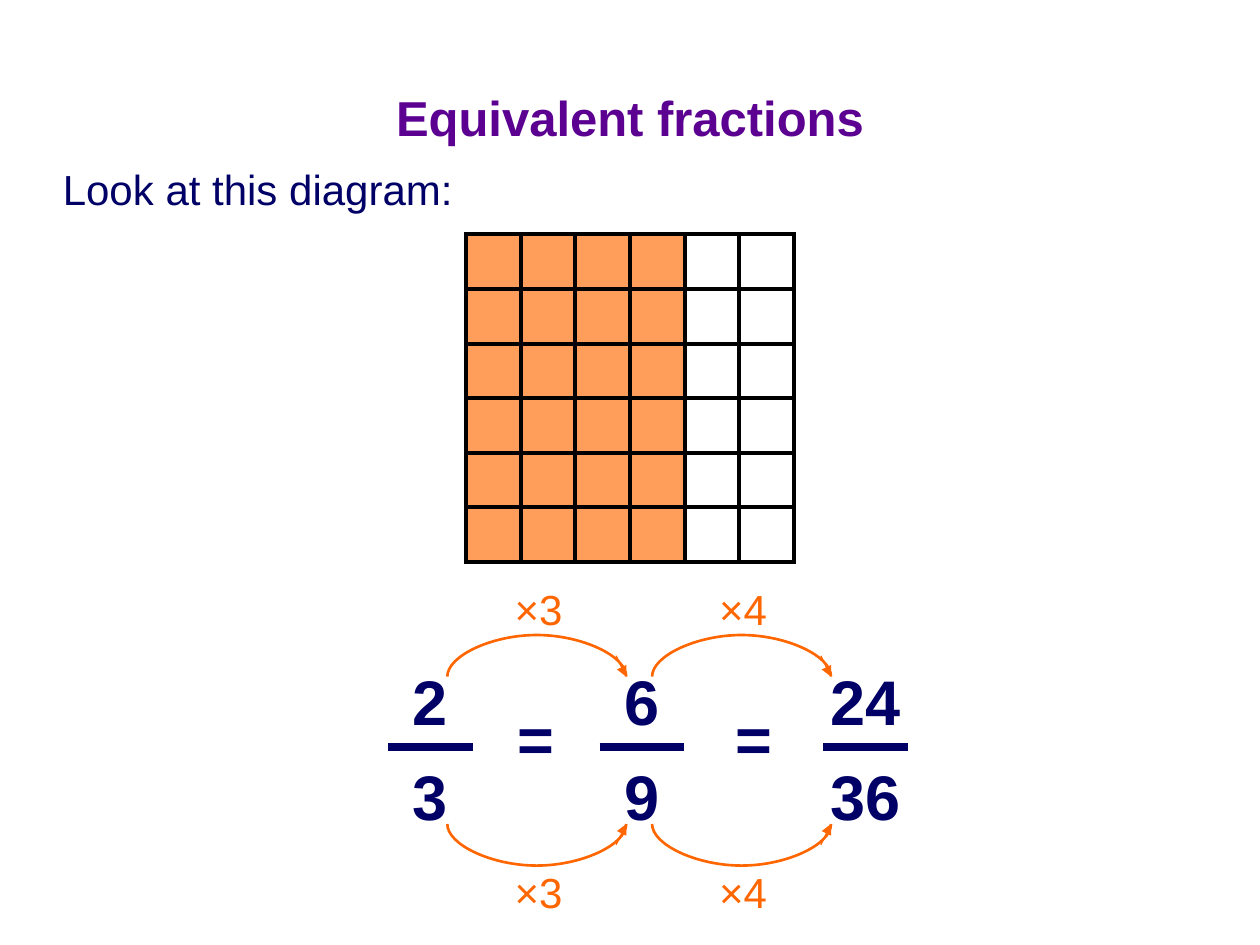
"""Build the equivalent fractions slide: a six-by-six grid above 2/3 = 6/9 = 24/36."""
from itertools import product

from lxml.etree import SubElement
from pptx import Presentation
from pptx.dml.color import RGBColor as RGB
from pptx.enum.shapes import MSO_CONNECTOR as CONN, MSO_SHAPE as SHAPE
from pptx.enum.text import MSO_ANCHOR as ANCHOR, MSO_AUTO_SIZE as AUTO, PP_ALIGN as ALIGN
from pptx.oxml.ns import qn
from pptx.util import Inches, Pt

THEME = {
    "font": "Arial",
    "title": RGB(0x5B, 0x00, 0x91), "ink": RGB(0x01, 0x00, 0x66),
    "arrow": RGB(0xFF, 0x66, 0x00), "shaded": RGB(0xFF, 0x9D, 0x5B),
    "blank": RGB(0xFF, 0xFF, 0xFF), "edge": RGB(0x00, 0x00, 0x00),
    "title_size": Pt(28), "text_size": Pt(24), "number_size": Pt(36),
}

prs = Presentation()
prs.slide_width, prs.slide_height = Inches(10), Inches(7.5)
s = prs.slides.add_slide(prs.slide_layouts[5])
COL, ROW = prs.slide_width / 100, prs.slide_height / 75


def write(text, x, y, w, h, sp=None, size="number_size", color="ink", bold=False, align=ALIGN.LEFT):
    box = [round(x * COL), round(y * ROW), round(w * COL), round(h * ROW)]
    if sp is None:
        sp = s.shapes.add_textbox(*box)
        sp.text_frame.word_wrap = False
        sp.text_frame.auto_size = AUTO.SHAPE_TO_FIT_TEXT
    else:
        sp.left, sp.top, sp.width, sp.height = box
        sp.text_frame.word_wrap = True
        sp.text_frame.vertical_anchor = ANCHOR.MIDDLE
    p = sp.text_frame.paragraphs[0]
    p.alignment = align
    r = p.add_run()
    r.text = text
    r.font.name, r.font.size, r.font.bold = THEME["font"], THEME[size], bold
    r.font.color.rgb = THEME[color]


def draw_line(x1, y1, x2, y2, color, width, arrow=False):
    c = s.shapes.add_connector(CONN.STRAIGHT, round(x1 * COL), round(y1 * ROW),
                               round(x2 * COL), round(y2 * ROW))
    c.line.color.rgb, c.line.width = THEME[color], Pt(width)
    if arrow:
        SubElement(c.line._get_or_add_ln(), qn("a:tailEnd"), type="triangle")
    SubElement(c._element.spPr, qn("a:effectLst"))


write("Equivalent fractions", 5, 3, 90, 12.5, sp=s.shapes.title, size="title_size",
      color="title", bold=True, align=ALIGN.CENTER)
write("Look at this diagram:", 4, 12.5, 33.2, 5, size="text_size")

GRID_LEFT, GRID_TOP, GRID, COUNT, SHADED = 37, 18.6, 26, 6, 4
CELL = GRID / COUNT
squares = [(0, 0, GRID, "blank")]
squares += [(col * CELL, row * CELL, CELL, "shaded" if col < SHADED else "blank")
            for row, col in product(range(COUNT), repeat=2)]
for x, y, side, fill in squares:
    sp = s.shapes.add_shape(SHAPE.RECTANGLE, round((GRID_LEFT + x) * COL), round((GRID_TOP + y) * ROW),
                            round(side * COL), round(side * ROW))
    sp.shadow.inherit = False
    sp.fill.solid()
    sp.fill.fore_color.rgb = THEME[fill]
    sp.line.color.rgb, sp.line.width = THEME["edge"], Pt(2.25)
    SubElement(sp.line._get_or_add_ln(), qn("a:miter"), lim="800000")

BAR_Y, BAR_W = 59.3, 6.7
fractions = [("2", "3", 34.15), ("6", "9", 50.95), ("24", "36", 68.7)]
for top, bottom, mid in fractions:
    w = 2 + 2.8 * len(top)
    write(top, mid - w / 2, 52.1, w, 7, bold=True)
    draw_line(mid - BAR_W / 2, BAR_Y, mid + BAR_W / 2, BAR_Y, "ink", 4.5)
    write(bottom, mid - w / 2, 59.6, w, 7, bold=True)

for (_, _, left), (_, _, right) in zip(fractions, fractions[1:]):
    write("=", (left + right) / 2 - 2.45, 55, 4.9, 7, bold=True)

ARC_RX, ARC_RY = 7.1, 3.3
arcs = [("×3", 42.6), ("×4", 58.85)]
sides = [(53.7, -1, 45.8), (65.4, 1, 68.3)]
for (label, mid), (base, direction, label_top) in product(arcs, sides):
    controls = [(1, 0), (1, 0.5), (0.5, 1), (0, 1), (-0.5, 1), (-1, 0.5), (-1, 0)]
    points = [(round((mid + ARC_RX * x) * COL), round((base + direction * ARC_RY * y) * ROW))
              for x, y in controls]
    builder = s.shapes.build_freeform(*points[0])
    builder.add_line_segments(points[1:], close=False)
    arc = builder.convert_to_shape()
    outline = next(arc._element.iter(qn("a:path")))
    segments = outline.findall(qn("a:lnTo"))
    for i in range(0, len(segments), 3):
        curve = SubElement(outline, qn("a:cubicBezTo"))
        for segment in segments[i:i + 3]:
            curve.append(segment[0])
            outline.remove(segment)
    arc.shadow.inherit = False
    arc.fill.background()
    arc.line.color.rgb, arc.line.width = THEME["arrow"], Pt(1.5)
    draw_line(mid + 6.3, base + direction * ARC_RY / 2, mid + ARC_RX, base, "arrow", 0.75, arrow=True)
    write(label, mid - 2.75, label_top, 5.9, 5, size="text_size", color="arrow")

prs.save("out.pptx")
